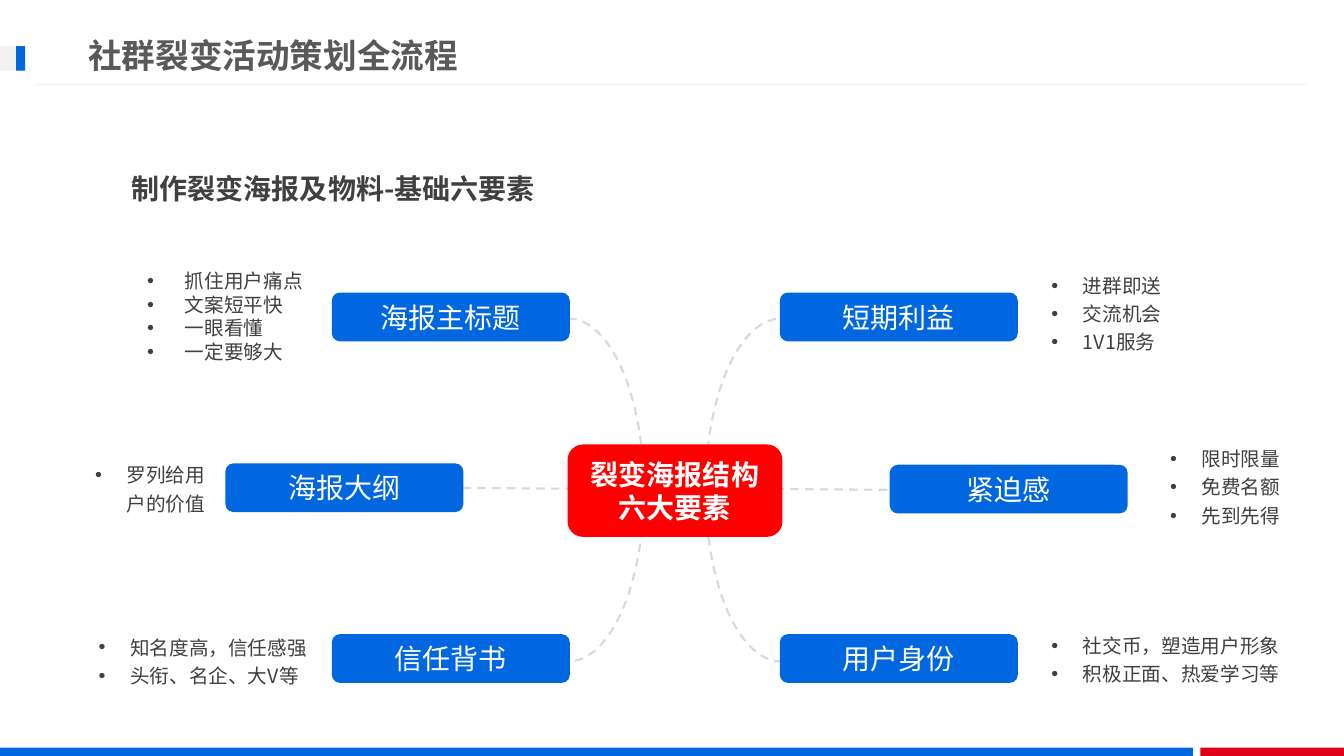
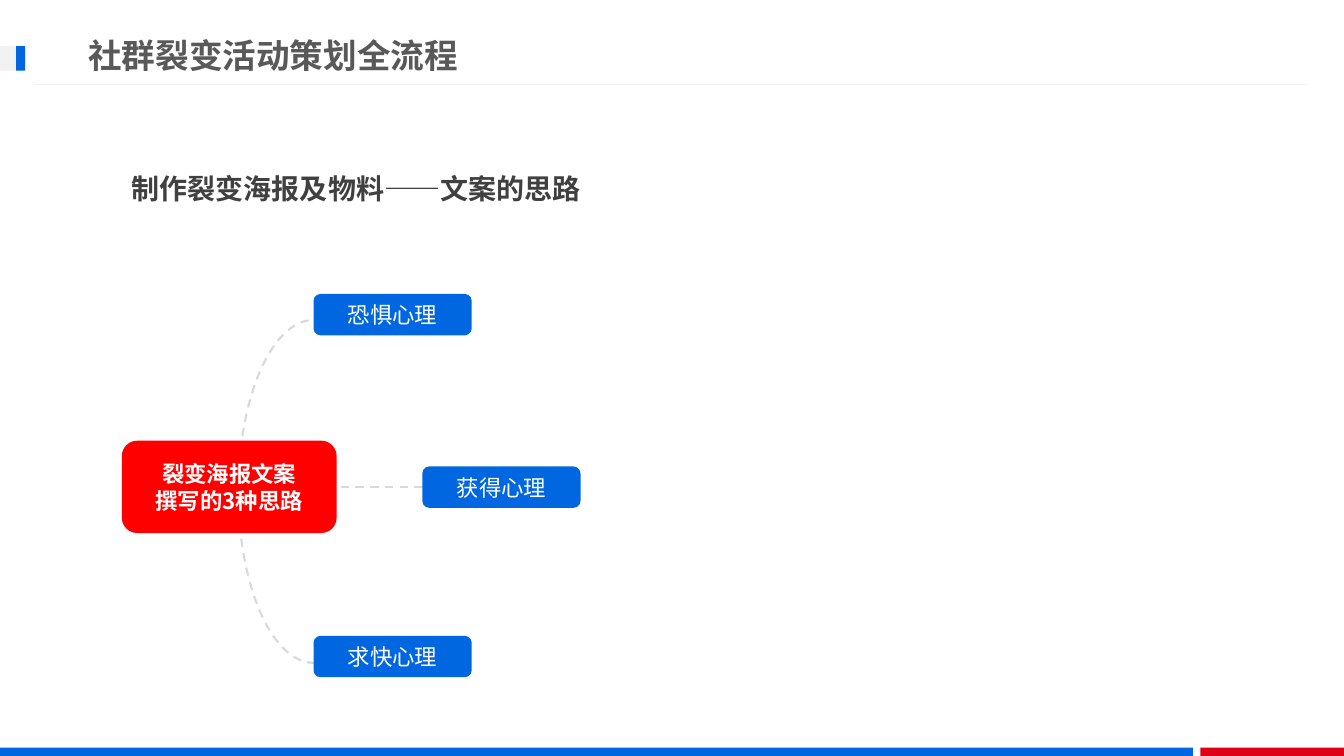
from dataclasses import dataclass

from lxml import etree
from pptx import Presentation
from pptx.dml.color import RGBColor
from pptx.enum import dml, shapes, text
from pptx.oxml.ns import qn
from pptx.util import Pt


@dataclass(frozen=True)
class Theme:
    font: str = "Noto Sans CJK JP"
    blue: str = "0067E1"
    red: str = "FF0000"
    band_red: str = "DE0014"
    pale: str = "F2F2F2"
    dash: str = "D9D9D9"
    title_ink: str = "595959"
    ink: str = "404040"
    white: str = "FFFFFF"
    title: int = 24
    heading: int = 20
    small_node: int = 16
    body: int = 14


T = Theme()
SHAPE = shapes.MSO_SHAPE
ALIGN = text.PP_ALIGN
ANCHOR = text.MSO_ANCHOR

TITLE = "社群裂变活动策划全流程"
BANDS = [
    (857.5, 534, 102.5, 6, T.band_red),
    (0, 534, 852, 6, T.blue),
    (0, 33, 18, 17.5, T.pale),
    (11.5, 33, 6.5, 17.5, T.blue),
]
ARC_SIZE = (108, 245)
UPPER_ARC = (270, 341)
LOWER_ARC = (18, 90.5)
HUB_SIZE = (153.5, 66)

SLIDES = [
    dict(
        heading="制作裂变海报及物料-基础六要素",
        size=T.heading,
        node_size=(170, 34.8),
        arcs_top=227.5,
        arcs=[(352, False), (504, True)],
        lines=[(330.5, 348.5, 420.5, 349.2), (543.5, 349.2, 636, 349.9)],
        hub=(["裂变海报结构", "六大要素"], 405.4, 317.5),
        nodes=[
            ("海报主标题", 237, 209),
            ("海报大纲", 161, 331),
            ("信任背书", 237, 453),
            ("短期利益", 557, 209),
            ("紧迫感", 635.5, 332),
            ("用户身份", 557, 453),
        ],
        lists=[
            (["抓住用户痛点", "文案短平快", "一眼看懂", "一定要够大"],
             (98, 188.6, 139, 75), dict(indent=27, spacing=1.0)),
            (["罗列给用户的价值"], (57.6, 324, 96, 46), dict(align=ALIGN.RIGHT)),
            (["知名度高，信任感强", "头衔、名企、大V等"], (63.4, 447, 185, 47), {}),
            (["进群即送", "交流机会", "1V1服务"], (744, 188.6, 185, 67), {}),
            (["限时限量", "免费名额", "先到先得"], (828.7, 312.5, 101, 67), {}),
            (["社交币，塑造用户形象", "积极正面、热爱学习等"], (744, 446, 185, 47), {}),
        ],
    ),
    dict(
        heading="制作裂变海报及物料——文案的思路",
        size=T.small_node,
        node_size=(113, 29.5),
        arcs_top=228.5,
        arcs=[(170.3, True)],
        lines=[(302, 348, 160, 348)],
        hub=(["裂变海报文案", "撰写的3种思路"], 87, 314.8),
        nodes=[
            ("恐惧心理", 224, 210),
            ("获得心理", 301.7, 333.2),
            ("求快心理", 224, 454.2),
        ],
        lists=[],
    ),
]


def rgb(color):
    return RGBColor.from_string(color)


def pts(*values):
    return [Pt(v) for v in values]


def write(sp, lines, size, color, bold=False, align=ALIGN.LEFT,
          anchor=ANCHOR.TOP, indent=0, spacing=1.0):
    tf = sp.text_frame
    tf.word_wrap = True
    tf.vertical_anchor = anchor
    for i, line in enumerate(lines):
        p = tf.paragraphs[0] if i == 0 else tf.add_paragraph()
        p.text = line
        p.alignment = align
        p.line_spacing = spacing
        if indent:
            pPr = p._p.get_or_add_pPr()
            pPr.set("marL", str(Pt(indent)))
            pPr.set("indent", str(-Pt(indent)))
            etree.SubElement(pPr, qn("a:buFont")).set("typeface", "Arial")
            etree.SubElement(pPr, qn("a:buChar")).set("char", "•")
        for r in p.runs:
            r.font.size = Pt(size)
            r.font.bold = bold
            r.font.color.rgb = rgb(color)
            r.font.name = T.font
            ea = etree.SubElement(r._r.get_or_add_rPr(), qn("a:ea"))
            ea.set("typeface", T.font)


def add_text(s, lines, box, size, color, **style):
    write(s.shapes.add_textbox(*pts(*box)), lines, size, color, **style)


def add_block(s, kind, box, fill):
    sp = s.shapes.add_shape(kind, *pts(*box))
    sp.shadow.inherit = False
    sp.fill.solid()
    sp.fill.fore_color.rgb = rgb(fill)
    sp.line.fill.background()
    return sp


def add_node(s, lines, box, fill, size, bold=False):
    sp = add_block(s, SHAPE.ROUNDED_RECTANGLE, box, fill)
    write(sp, lines, size, T.white, bold, ALIGN.CENTER, ANCHOR.MIDDLE)


def style_line(line, color, width, dashed):
    line.color.rgb = rgb(color)
    line.width = Pt(width)
    if dashed:
        line.dash_style = dml.MSO_LINE.DASH


def add_line(s, ends, color, width, dashed=False):
    cn = s.shapes.add_connector(shapes.MSO_CONNECTOR.STRAIGHT, *pts(*ends))
    style_line(cn.line, color, width, dashed)
    etree.SubElement(cn._element.spPr, qn("a:effectLst"))


def add_arc(s, x, y, angles, mirrored):
    sp = s.shapes.add_shape(SHAPE.ARC, *pts(x, y, *ARC_SIZE))
    sp.shadow.inherit = False
    sp.fill.background()
    start, end = angles
    if mirrored:
        start, end = (180 - end) % 360, (180 - start) % 360
    sp.adjustments[0] = start * 0.6
    sp.adjustments[1] = end * 0.6
    style_line(sp.line, T.dash, 1.5, True)


def add_frame(s, heading):
    for *box, fill in BANDS:
        add_block(s, SHAPE.RECTANGLE, box, fill)
    add_line(s, (934.5, 60.5, 25, 60.5), T.pale, 0.75)
    add_text(s, [TITLE], (56, 18.7, 690, 41), T.title, T.title_ink,
             bold=True, anchor=ANCHOR.MIDDLE)
    add_text(s, [heading], (87, 118.8, 480, 32), T.heading, T.ink, bold=True)


def add_mind_map(s, data):
    for x, mirrored in data["arcs"]:
        for angles in (UPPER_ARC, LOWER_ARC):
            add_arc(s, x, data["arcs_top"], angles, mirrored)
    for ends in data["lines"]:
        add_line(s, ends, T.dash, 1.5, dashed=True)
    for label, x, y in data["nodes"]:
        add_node(s, [label], (x, y, *data["node_size"]), T.blue, data["size"])
    for lines, box, style in data["lists"]:
        add_text(s, lines, box, T.body, T.ink,
                 **{"indent": 22.5, "spacing": 1.2, **style})
    lines, x, y = data["hub"]
    add_node(s, lines, (x, y, *HUB_SIZE), T.red, data["size"], bold=True)


def main():
    prs = Presentation()
    prs.slide_width, prs.slide_height = pts(960, 540)
    for data in SLIDES:
        s = prs.slides.add_slide(prs.slide_layouts[6])
        add_frame(s, data["heading"])
        add_mind_map(s, data)
    prs.save("out.pptx")


if __name__ == "__main__":
    main()
